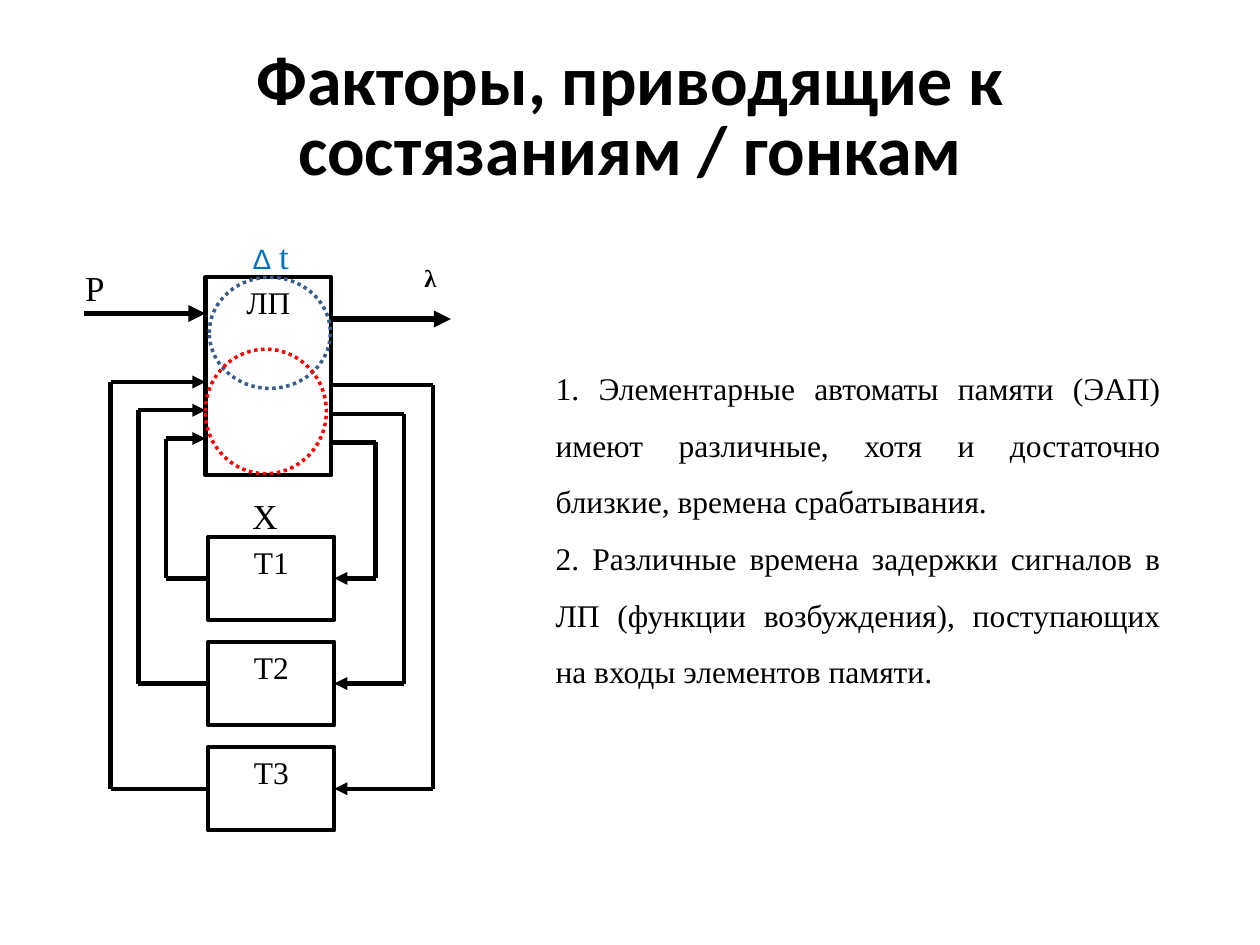
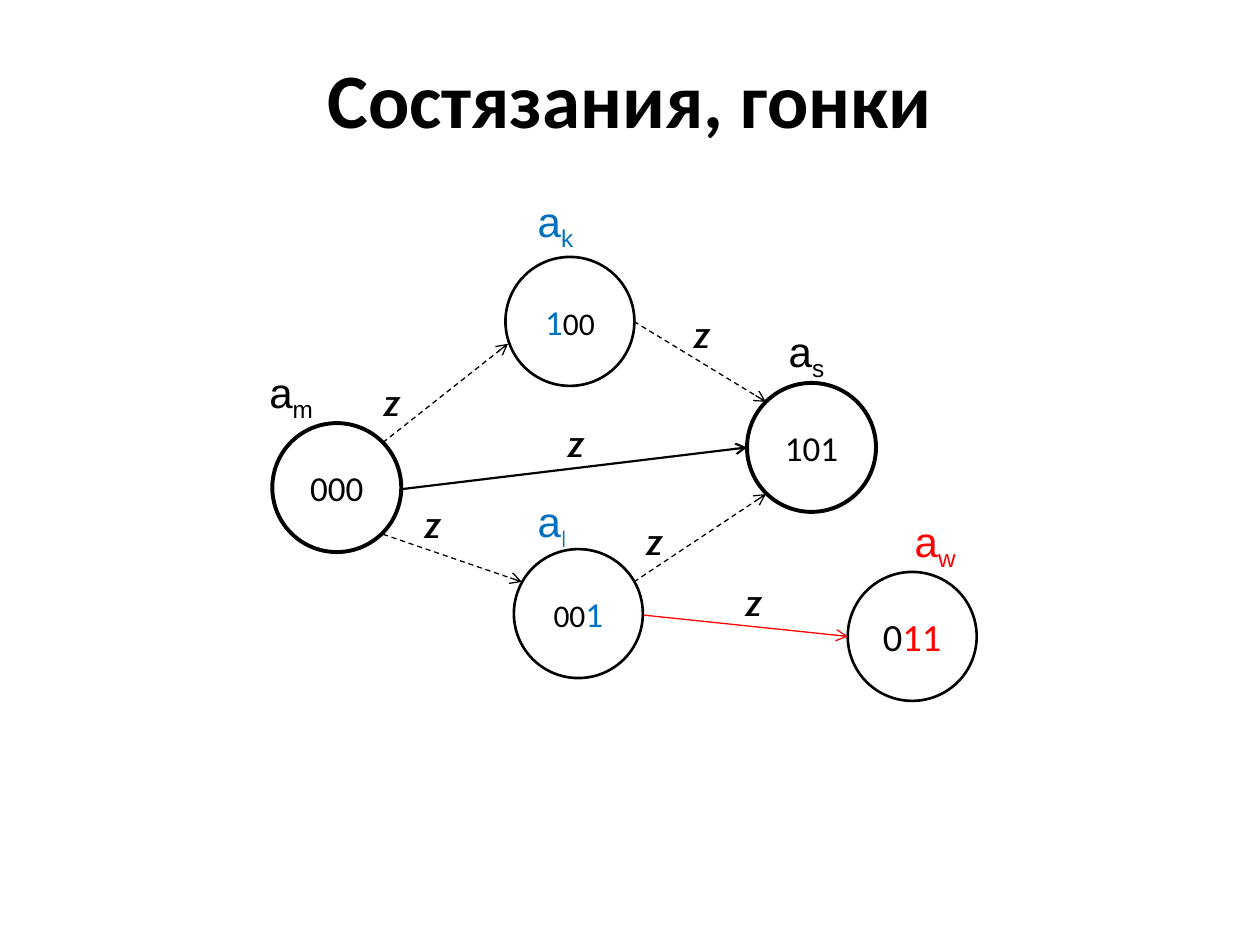
from lxml.etree import SubElement
from pptx import Presentation
from pptx.dml.color import RGBColor
from pptx.enum.dml import MSO_LINE
from pptx.enum.shapes import MSO_CONNECTOR, MSO_SHAPE
from pptx.enum.text import MSO_ANCHOR, PP_ALIGN
from pptx.oxml.ns import qn
from pptx.util import Cm, Pt

BLACK, WHITE, BLUE, RED = "000000", "FFFFFF", "0070C0", "FF0000"
SERIF, SANS, HEAD = "Times New Roman", "Arial", "Calibri"
BOX, OVAL = MSO_SHAPE.RECTANGLE, MSO_SHAPE.OVAL
TOP, MID = MSO_ANCHOR.TOP, MSO_ANCHOR.MIDDLE
LEFT, MIDST, FULL = PP_ALIGN.LEFT, PP_ALIGN.CENTER, PP_ALIGN.JUSTIFY
hue = RGBColor.from_string


def put(page, kind, area, paras=(), face=SERIF, size=18, ink=BLACK, fill=WHITE,
        edge=None, width=2.5, dash=None, align=MIDST, anchor=TOP,
        inset=True, wrap=True, bold=None, italic=None, lead=None):
    """Add a shape, or a text box if kind is None; a run is (text, changes)."""
    area = [Cm(n) for n in area]
    if kind is None:
        shape = page.shapes.add_textbox(*area)
    else:
        shape = page.shapes.add_shape(kind, *area)
        shape.shadow.inherit = False
        if fill:
            shape.fill.solid()
            shape.fill.fore_color.rgb = hue(fill)
        else:
            shape.fill.background()
        if edge:
            shape.line.color.rgb = hue(edge)
            shape.line.width = Pt(width)
            shape.line.dash_style = dash
        else:
            shape.line.fill.background()
    frame = shape.text_frame
    frame.word_wrap, frame.vertical_anchor = wrap, anchor
    if not inset:
        frame.margin_left = frame.margin_right = 0
        frame.margin_top = frame.margin_bottom = 0
    for i, runs in enumerate(paras):
        para = frame.add_paragraph() if i else frame.paragraphs[0]
        para.alignment, para.line_spacing = align, lead
        font = para.font
        font.bold, font.italic = bold, italic
        # Runs that differ carry their own face, size or colour
        mixed = set().union(*(change for _, change in runs))
        base = {"face": face, "size": size, "ink": ink}
        spots = [(font, {k: v for k, v in base.items() if k not in mixed})]
        for text, change in runs:
            run = para.add_run()
            run.text = text
            spots.append((run.font, {k: change.get(k, base.get(k)) for k in mixed}))
            if change.get("base"):
                run.font._element.set("baseline", str(change["base"] * 1000))
        for font, look in spots:
            if "face" in look:
                font.name = look["face"]
            if "size" in look:
                font.size = Pt(look["size"])
            if "ink" in look:
                font.color.rgb = hue(look["ink"])
    return shape


def link(page, start, end, width=2.5, tip=None, ink=BLACK, dash=None):
    """Draw a straight line, with an arrowhead at its end if tip is set."""
    line = page.shapes.add_connector(MSO_CONNECTOR.STRAIGHT,
                                     *[Cm(n) for n in (*start, *end)])
    line.line.color.rgb = hue(ink)
    line.line.width = Pt(width)
    line.line.dash_style = dash
    if tip:
        SubElement(line.line._get_or_add_ln(), qn("a:tailEnd"), type=tip)
    SubElement(line._element.spPr, qn("a:effectLst"))
    return line


deck = Presentation()
deck.slide_width, deck.slide_height = Cm(25.4), Cm(19.05)

# Titles
pages = []
for title, top, high, size, lead in (
        ("Факторы, приводящие к состязаниям / гонкам", 1.73, 1.37, 40, Pt(40)),
        ("Состязания, гонки", 0.61, 2.72, 44, None)):
    page = deck.slides.add_slide(deck.slide_layouts[6])
    put(page, None, (1.9, top, 21.6, high), [[(title, {})]], HEAD, size,
        anchor=MID, inset=False, bold=True, lead=lead)
    pages.append(page)
race, graph = pages

# Logic block with its input and output
put(race, BOX, (4.14, 5.59, 2.54, 3.99), [[("ЛП", {})]], edge=BLACK)
link(race, (1.7, 6.32), (4.14, 6.32), 3.25, "triangle")
link(race, (6.65, 6.43), (9.09, 6.43), 3.25, "triangle")

# Signal names
for area, runs, size, bold, lead in (
        ((1.7, 5.38, 0.43, 0.64), [("P", {})], 20, None, None),
        ((8.41, 5.41, 0.53, 0.64), [("λ", {})], 14, True, 0.8),
        ((5.13, 9.96, 0.43, 0.64), [("X", {})], 20, None, None),
        ((5.03, 4.72, 0.86, 0.64),
         [("Δ", {"face": SANS, "size": 16}), (" ", {"size": 18}), ("t", {})],
         20, None, None)):
    put(race, BOX, area, [runs], size=size, inset=False, wrap=False, bold=bold,
        lead=lead, ink=BLUE if len(runs) > 1 else BLACK)

# Memory cells, each in a wider feedback loop than the one before
for i in range(3):
    top = 10.82 + 2.12 * i
    mid = top + 0.84
    right, out = 7.57 + 0.58 * i, 8.92 - 0.58 * i
    left, back = 3.35 - 0.56 * i, 8.84 - 0.57 * i
    cell = put(race, BOX, (4.2, top, 2.54, 1.68), [[(f"T{i + 1}", {})]], edge=BLACK)
    link(race, (6.65, out), (right, out))
    link(race, (right, out), (right, mid))
    link(race, (right, mid), (6.74, mid), tip="triangle").end_connect(cell, 3)
    link(race, (4.2, mid), (left, mid)).begin_connect(cell, 1)
    link(race, (left, mid), (left, back))
    link(race, (left, back), (4.14, back), tip="triangle")

# Dotted delay zones
for area, edge in (((4.22, 5.59, 2.44, 2.24), "385D8A"),
                   ((4.14, 7.04, 2.44, 2.51), RED)):
    put(race, OVAL, area, fill=None, edge=edge, width=2, dash=MSO_LINE.ROUND_DOT)

# Causes
causes = (
    "1. Элементарные автоматы памяти (ЭАП) имеют различные, хотя и достаточно "
    "близкие, времена срабатывания.",
    "2. Различные времена задержки сигналов в ЛП (функции возбуждения), "
    "поступающих на входы элементов памяти.")
put(race, None, (10.95, 6.93, 12.7, 7.11), [[(text, {})] for text in causes],
    align=FULL, lead=1.5)

# States
for x, y, width, size, runs in (
        (5.49, 8.53, 2.25, 20, [("000", {})]),
        (10.36, 11.07, 1.5, 18, [("00", {}), ("1", {"size": 20, "ink": BLUE})]),
        (10.19, 5.18, 1.5, 18, [("1", {"size": 20, "ink": BLUE}), ("00", {})]),
        (15.06, 7.72, 2.25, 20, [("101", {})]),
        (17.09, 11.53, 1.5, 22, [("0", {}), ("11", {"ink": RED})])):
    put(graph, OVAL, (x, y, 2.6, 2.6), [runs], HEAD, size, edge=BLACK,
        width=width, anchor=MID, inset=False)

# Moves between states
for start, end in (((7.72, 8.92), (10.24, 6.93)), ((7.72, 10.77), (10.52, 11.73)),
                   ((12.78, 11.73), (15.44, 9.96)), ((12.78, 6.48), (15.44, 8.1))):
    link(graph, start, end, 0.75, "arrow", dash=MSO_LINE.DASH)
link(graph, (8.1, 9.86), (15.06, 9.02), 1.25, "arrow")
link(graph, (12.98, 12.4), (17.09, 12.83), 0.75, "arrow", RED)

# State names
for sub, x, y, ink, face in (
        ("m", 5.18, 7.26, BLACK, SANS), ("k", 10.59, 3.81, BLUE, SANS),
        ("l", 10.59, 9.86, BLUE, "Comic Neue"), ("s", 15.65, 6.43, BLACK, SANS),
        ("w", 18.19, 10.26, RED, SANS)):
    put(graph, None, (x, y, 1.52, 1.42),
        [[("a", {}), (sub, {"face": face, "base": -25})]], SANS, 24, ink, align=LEFT)

# Input on each move
for x, y in ((14.78, 11.53), (13.74, 6.12), (11.2, 8.33),
             (12.78, 10.29), (8.31, 9.96), (7.49, 7.49)):
    put(graph, None, (x, y, 0.99, 1.19), [[("z", {})]], "Cabin", 22,
        align=LEFT, italic=True)

deck.save("out.pptx")
